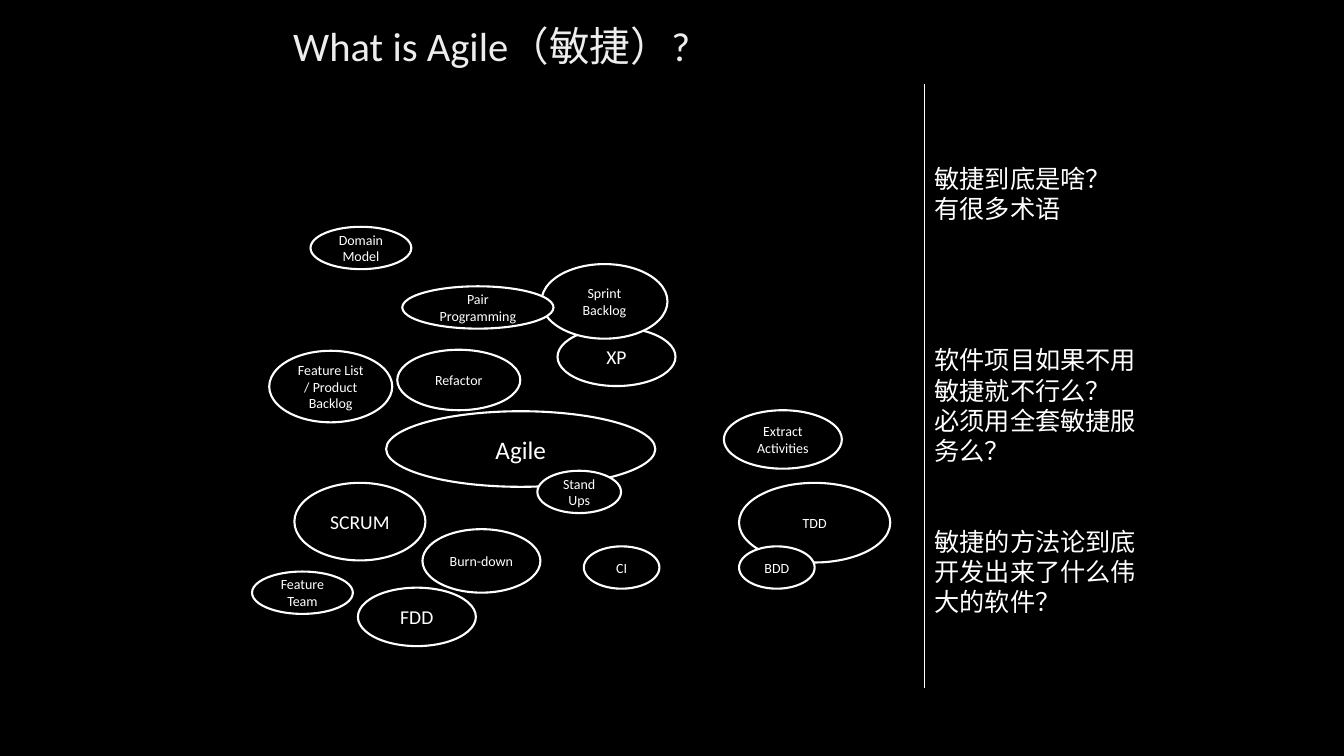
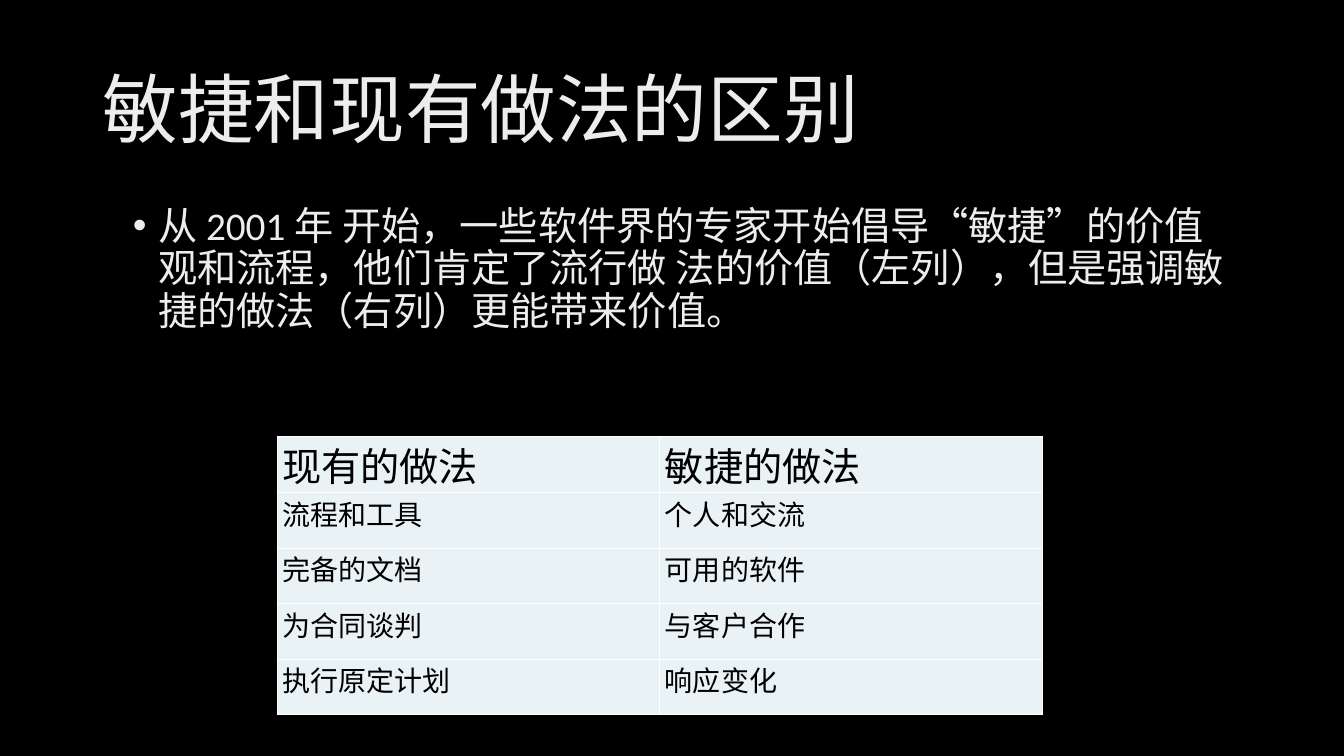
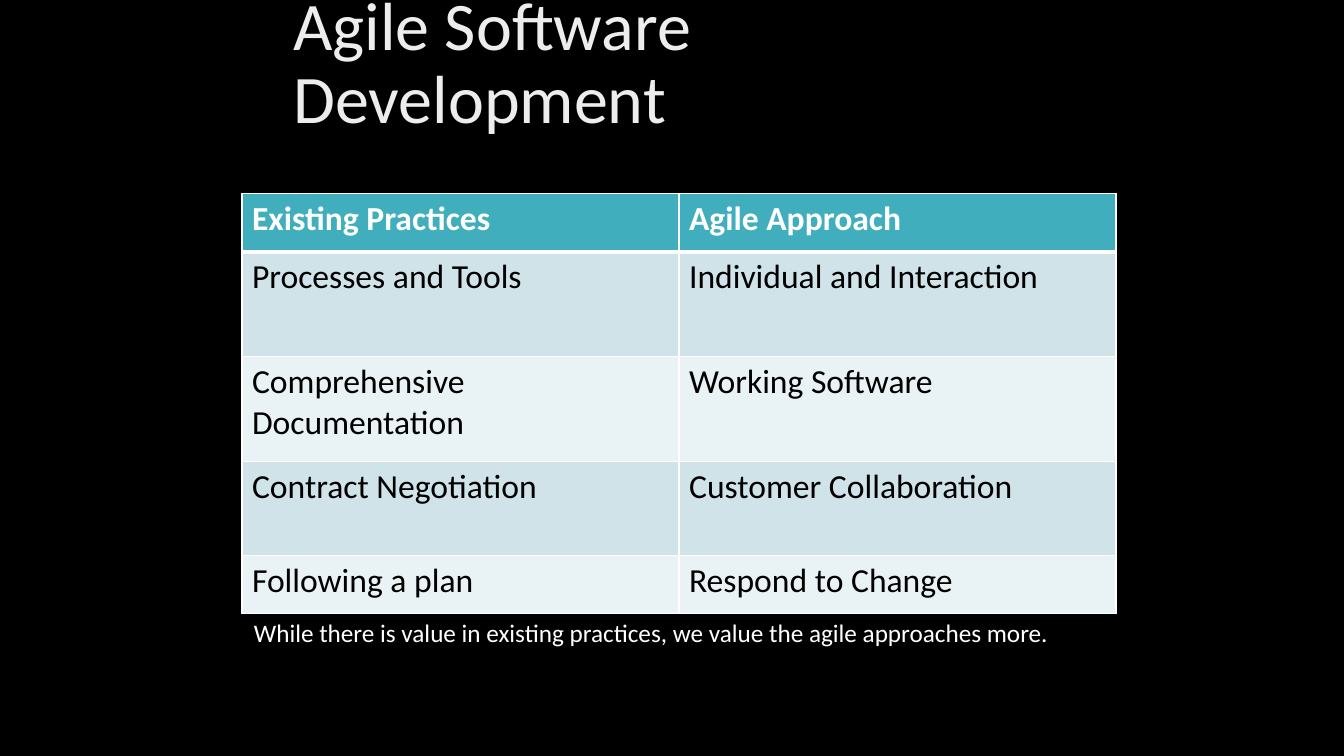
from lxml.etree import SubElement
from pptx import Presentation
from pptx.dml.color import RGBColor
from pptx.enum.lang import MSO_LANGUAGE_ID as Lang
from pptx.enum.shapes import MSO_CONNECTOR as Conn, MSO_SHAPE as Shape
from pptx.enum.text import MSO_ANCHOR as Anchor, PP_ALIGN as Align
from pptx.oxml.ns import qn
from pptx.util import Inches, Pt

BLACK = RGBColor(0x00, 0x00, 0x00)
WHITE = RGBColor(0xFF, 0xFF, 0xFF)
SILVER = RGBColor(0xED, 0xED, 0xED)
TEAL = RGBColor(0x41, 0xAE, 0xBD)
MIST = RGBColor(0xCF, 0xE3, 0xE8)
PALE = RGBColor(0xE9, 0xF2, 0xF4)
FONT = "Calibri"

TERMS = [
    ("Feature List / Product\nBacklog", 10, (2.67, 3.48, 1.22, 0.71)),
    ("Agile", 18, (3.83, 4.08, 2.67, 0.75)),
    ("SCRUM", 14, (2.92, 4.79, 1.3, 0.77)),
    ("XP", 14, (5.53, 3.25, 1.17, 0.58)),
    ("FDD", 14, (3.55, 5.83, 1.17, 0.58)),
    ("TDD", 10, (7.33, 4.79, 1.5, 0.79)),
    ("BDD", 10, (7.33, 5.42, 0.75, 0.42)),
    ("CI", 10, (5.79, 5.42, 0.75, 0.42)),
    ("Burn-down", 10, (4.19, 5.25, 1.17, 0.63)),
    ("Refactor", 10, (3.94, 3.47, 1.22, 0.6)),
    ("Stand\nUps", 10, (5.33, 4.67, 0.83, 0.42)),
    ("Sprint\nBacklog", 10, (5.37, 2.62, 1.25, 0.74)),
    ("Feature Team", 10, (2.5, 5.67, 1, 0.42)),
    ("Pair Programming", 10, (3.99, 2.84, 1.5, 0.42)),
    ("Extract Activities", 10, (7.18, 4.07, 1.17, 0.58)),
    ("Domain Model", 10, (3.08, 2.25, 1, 0.42)),
]
ASKS = [
    ("敏捷到底是啥？", 0),
    ("有很多术语", 0),
    ("软件项目如果不用敏捷就不行么？", 86.4),
    ("必须用全套敏捷服务么？", 0),
    ("敏捷的方法论到底开发出来了什么伟大的软件？", 43.2),
]
INTRO = ("从 2001 年 开始，一些软件界的专家开始倡导“敏捷”的价值观和流程，"
         "他们肯定了流行做 法的价值（左列），但是强调敏捷的做法（右列）更能带来价值。")
CHINESE = [
    ("现有的做法", "敏捷的做法"),
    ("流程和工具", "个人和交流"),
    ("完备的文档", "可用的软件"),
    ("为合同谈判", "与客户合作"),
    ("执行原定计划", "响应变化"),
]
ENGLISH = [
    ("Existing Practices", "Agile Approach"),
    ("Processes and Tools", "Individual and Interaction"),
    ("Comprehensive Documentation", "Working Software"),
    ("Contract Negotiation", "Customer Collaboration"),
    ("Following a plan", "Respond to Change"),
]


def inches(box):
    return [Inches(n) for n in box]


def write(para, text, size, color, bold=False):
    for i, part in enumerate(text.split("\n")):
        if i:
            para.add_line_break()
        run = para.add_run()
        run.text = part
        font = run.font
        font.name, font.size, font.bold = FONT, Pt(size), bold
        font.color.rgb = color
        font.language_id = Lang.SIMPLIFIED_CHINESE


def add_text(slide, box, items, size, color=WHITE, anchor=Anchor.TOP):
    frame = slide.shapes.add_textbox(*inches(box)).text_frame
    frame.word_wrap = True
    frame.vertical_anchor = anchor
    for i, (text, gap) in enumerate(items):
        para = frame.add_paragraph() if i else frame.paragraphs[0]
        para.space_before = Pt(gap)
        write(para, text, size, color)
    return frame.paragraphs[0]


def add_title(slide, box, text, size):
    para = add_text(slide, box, [(text, 0)], size, SILVER, Anchor.MIDDLE)
    para.line_spacing = 0.9


def add_bullet(slide, box, text):
    para = add_text(slide, box, [(text, 10)], 28, SILVER)
    para.line_spacing = 0.9
    props = para._p.get_or_add_pPr()
    props.set("marL", str(Inches(0.25)))
    props.set("indent", str(-Inches(0.25)))
    SubElement(props, qn("a:buFont"), typeface="Arial")
    SubElement(props, qn("a:buChar"), char="•")


def add_term(slide, text, size, box):
    oval = slide.shapes.add_shape(Shape.OVAL, *inches(box))
    oval.shadow.inherit = False
    oval.fill.solid()
    oval.fill.fore_color.rgb = BLACK
    oval.line.color.rgb = WHITE
    oval.line.width = Pt(1.5)
    frame = oval.text_frame
    frame.word_wrap = True
    frame.vertical_anchor = Anchor.MIDDLE
    frame.paragraphs[0].alignment = Align.CENTER
    write(frame.paragraphs[0], text, size, WHITE)


def add_panel(slide, left, top, height):
    ends = inches((left, top, left, top + height))
    rule = slide.shapes.add_connector(Conn.STRAIGHT, *ends)
    rule.line.color.rgb = WHITE
    rule.line.width = Pt(0.5)
    SubElement(rule._element.spPr, qn("a:effectLst"))
    add_text(slide, (left, top + 0.74, 2.42, 4.64), ASKS, 18)


def add_edges(cell, top, base):
    props = cell._tc.get_or_add_tcPr()
    sides = {"lnL": 1, "lnR": 1, "lnT": top, "lnB": base}
    for i, (side, width) in enumerate(sides.items()):
        edge = SubElement(props, qn("a:" + side), w=str(Pt(width)))
        fill = SubElement(edge, qn("a:solidFill"))
        SubElement(fill, qn("a:srgbClr"), val=str(WHITE))
        props.insert(i, edge)


def add_grid(slide, box, rows, heights, style):
    frame = slide.shapes.add_table(len(rows), len(rows[0]), *inches(box))
    table = frame.table
    table.first_row = table.horz_banding = False
    for r, (row, height) in enumerate(zip(rows, heights)):
        table.rows[r].height = Inches(height)
        for c, text in enumerate(row):
            style(table.cell(r, c), r, text)


def fill_cell(cell, fill, text, size, color, bold=False):
    cell.fill.solid()
    cell.fill.fore_color.rgb = fill
    write(cell.text_frame.paragraphs[0], text, size, color, bold)


def plain_cell(cell, r, text):
    cell.margin_left = Inches(0.05)
    cell.margin_right = cell.margin_top = cell.margin_bottom = 0
    cell.text_frame.paragraphs[0].space_before = Pt(1.4 if r else 0.9)
    fill_cell(cell, PALE, text, 20 if r else 28, BLACK)
    add_edges(cell, 1, 1)


def band_cell(cell, r, text):
    if r:
        fill_cell(cell, MIST if r % 2 else PALE, text, 24, BLACK)
    else:
        fill_cell(cell, TEAL, text, 24, WHITE, True)
    add_edges(cell, 3 if r == 1 else 1, 1 if r else 3)


def new_slide(deck):
    slide = deck.slides.add_slide(deck.slide_layouts[6])
    back = slide.background.fill
    back.solid()
    back.fore_color.rgb = BLACK
    return slide


def terms_slide(deck):
    slide = new_slide(deck)
    add_title(slide, (2.81, 0.21, 7.68, 0.54), "What is Agile（敏捷）?", 29)
    for text, size, box in TERMS:
        add_term(slide, text, size, box)
    add_panel(slide, 9.17, 0.83, 6)


def contrast_slide(deck):
    slide = new_slide(deck)
    add_title(slide, (0.92, 0.4, 11.5, 1.45), "敏捷和现有做法的区别", 54)
    add_bullet(slide, (1.22, 2, 11.19, 4.76), INTRO)
    add_grid(slide, (2.75, 4.33, 7.59, 2.76), CHINESE,
             [0.56] + [0.55] * 4, plain_cell)


def values_slide(deck):
    slide = new_slide(deck)
    add_title(slide, (2.81, 0.29, 7.68, 0.71), "Agile Software Development", 48.6)
    add_grid(slide, (2.4, 1.92, 8.67, 4.17), ENGLISH,
             [0.58, 1.04, 1.04, 0.93, 0.58], band_cell)
    note = "While there is value in existing practices, we value the agile approaches more."
    add_text(slide, (2.42, 6.08, 8.83, 0.4), [(note, 0)], 18)


def main():
    deck = Presentation()
    deck.slide_width, deck.slide_height = Inches(13.33), Inches(7.5)
    for build in (terms_slide, contrast_slide, values_slide):
        build(deck)
    deck.save("out.pptx")


if __name__ == "__main__":
    main()
